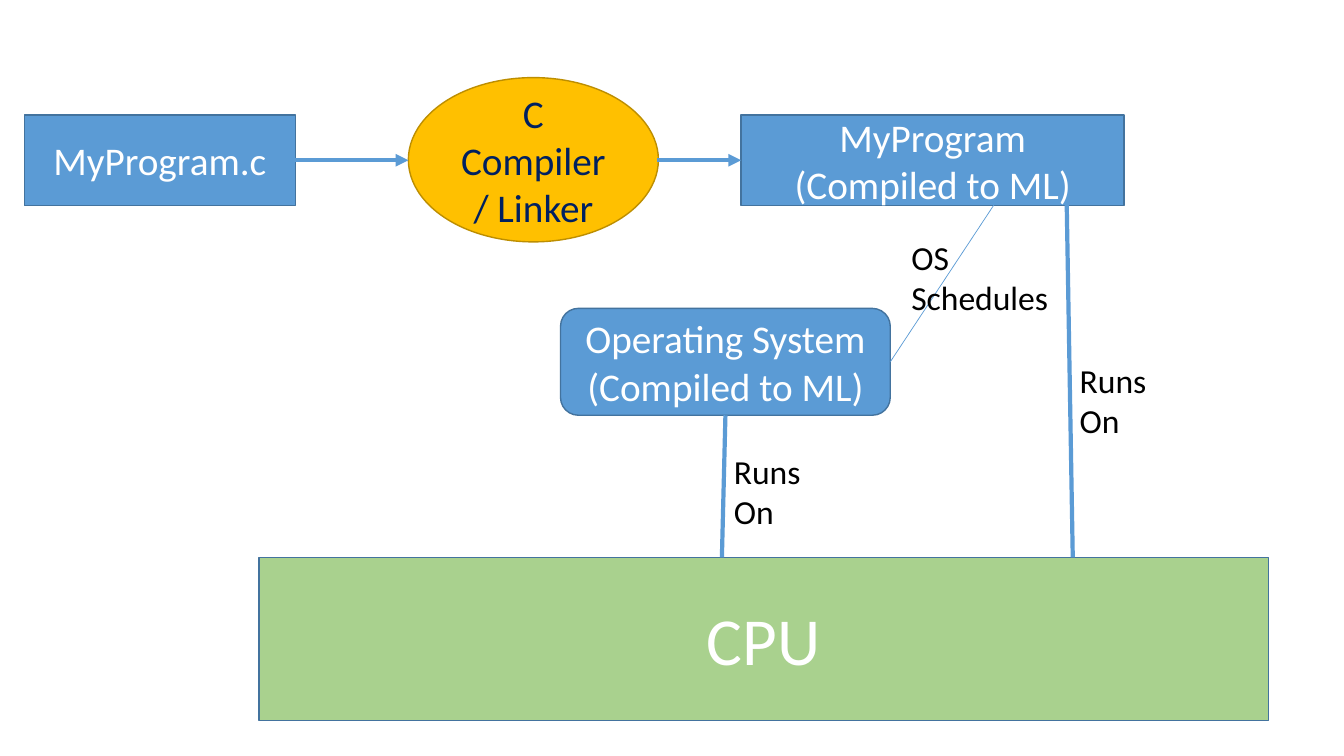
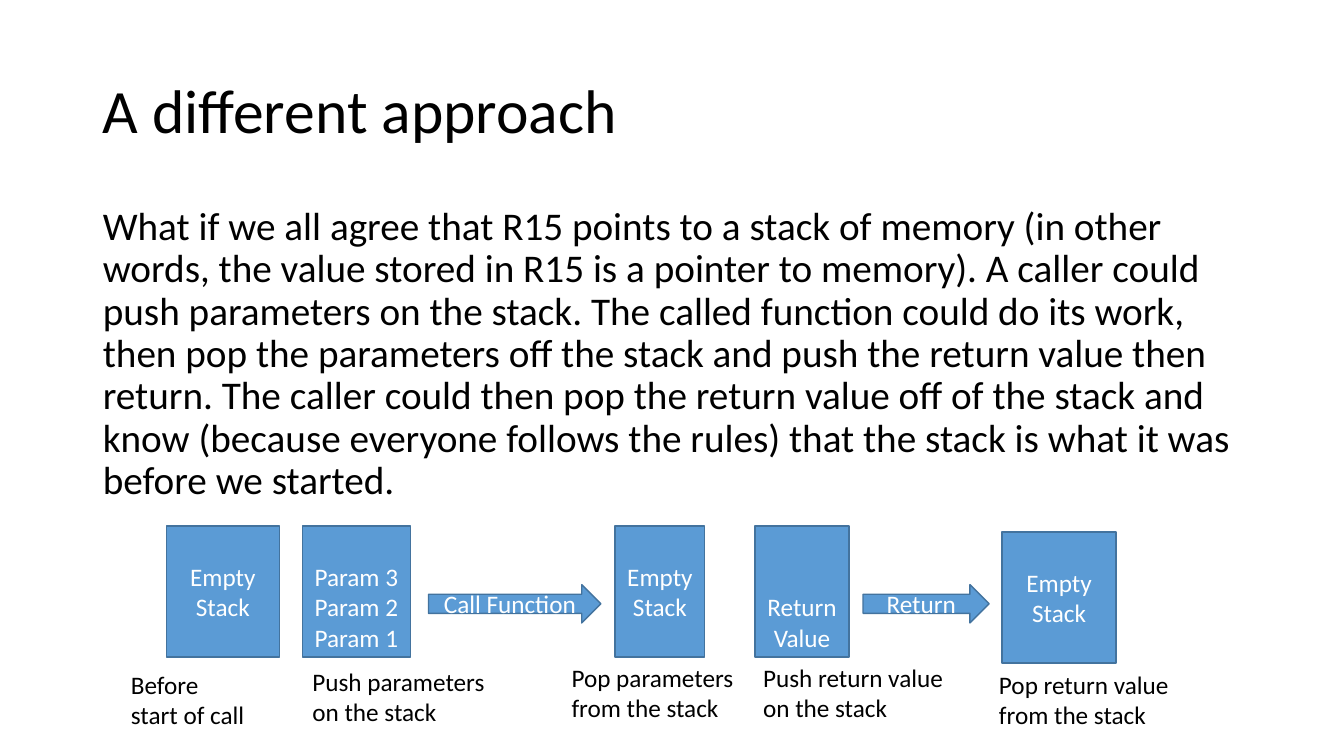
from lxml import etree
from pptx import Presentation
from pptx import util as u
from pptx.dml.color import RGBColor
from pptx.enum import shapes, text
from pptx.oxml import ns

FONT = "Calibri"
BLUE, EDGE, WHITE, BLACK = "5B9BD5", "43739E", "FFFFFF", "000000"
GREEN, GOLD, BROWN, NAVY = "A9D18E", "FFC000", "BD8E00", "002060"
KIND = shapes.MSO_SHAPE
ANCHOR = text.MSO_ANCHOR
LEFT, CENTER = text.PP_ALIGN.LEFT, text.PP_ALIGN.CENTER
color = RGBColor.from_string


def write(frame, words, size, ink=BLACK, align=LEFT, **form):
    """Fill a text frame; form holds further paragraph settings."""
    frame.text = words
    for para in frame.paragraphs:
        for key, val in {"alignment": align, **form}.items():
            setattr(para, key, val)
        for run in para.runs:
            for key, val in {"name": FONT, "size": u.Pt(size)}.items():
                setattr(run.font, key, val)
            run.font.color.rgb = color(ink)


def box(slide, kind, at, words, size, fill=BLUE, edge=EDGE, ink=WHITE,
        anchor=ANCHOR.MIDDLE):
    """Add a filled shape, or a growing label when kind is None."""
    place = [u.Inches(n) for n in at]
    if kind is None:
        label = slide.shapes.add_textbox(*place)
        write(label.text_frame, words, size)
        label.text_frame.word_wrap = False
        label.text_frame.auto_size = text.MSO_AUTO_SIZE.SHAPE_TO_FIT_TEXT
        return label
    shape = slide.shapes.add_shape(kind, *place)
    shape.shadow.inherit = False
    shape.fill.solid()
    shape.fill.fore_color.rgb = color(fill)
    shape.line.color.rgb = color(edge)
    shape.line.width = u.Pt(1)
    shape.text_frame.vertical_anchor = anchor
    write(shape.text_frame, words, size, ink, CENTER)
    return shape


deck = Presentation()
deck.slide_width, deck.slide_height = u.Inches(13.33), u.Inches(7.5)

# Slide 1: from source file to CPU
slide = deck.slides.add_slide(deck.slide_layouts[6])
source = box(slide, KIND.RECTANGLE, (0.24, 1.14, 2.69, 0.9), "MyProgram.c", 28)
program = box(slide, KIND.RECTANGLE, (7.35, 1.14, 3.8, 0.9),
              "MyProgram\n(Compiled to ML)", 28)
box(slide, KIND.OVAL, (4.05, 0.77, 2.48, 1.63), "C Compiler/ Linker", 28,
    GOLD, BROWN, NAVY)
system = box(slide, KIND.ROUNDED_RECTANGLE, (5.56, 3.06, 3.27, 1.06),
             "Operating System\n(Compiled to ML)", 28)
box(slide, KIND.RECTANGLE, (2.57, 5.53, 10.01, 1.62), "CPU", 48, GREEN)

# Ends, width, arrowhead, then (shape, side) joined at start and at end
links = [
    ((2.93, 1.59, 4.05, 1.59), 3, True, (source, 3), None),
    ((6.52, 1.59, 7.35, 1.59), 3, True, None, (program, 1)),
    ((7.19, 4.12, 7.16, 5.53), 3, False, (system, 2), None),
    ((10.58, 2.03, 10.64, 5.53), 3, False, None, None),
    ((8.83, 3.59, 9.86, 2.03), 0.5, False, (system, 3), None),
]
for ends, width, arrow, start, stop in links:
    link = slide.shapes.add_connector(
        shapes.MSO_CONNECTOR.STRAIGHT, *[u.Inches(n) for n in ends])
    if start:
        link.begin_connect(*start)
    if stop:
        link.end_connect(*stop)
    link.line.color.rgb = color(BLUE)
    link.line.width = u.Pt(width)
    if arrow:
        etree.SubElement(link.line._get_or_add_ln(), ns.qn("a:tailEnd"),
                         type="triangle")
    etree.SubElement(link._element.spPr, ns.qn("a:effectLst"))

for at, words in [
    ((8.94, 2.3, 1.57, 0.91), "OS\vSchedules"),
    ((10.61, 3.52, 0.95, 0.91), "Runs \vOn"),
    ((7.18, 4.42, 0.95, 0.91), "Runs \vOn"),
]:
    box(slide, None, at, words, 24)

# Slide 2: calling through a stack
slide = deck.slides.add_slide(deck.slide_layouts[1])
title, body = slide.placeholders
for holder, top, height, anchor in [
    (title, 0.4, 1.45, ANCHOR.MIDDLE),
    (body, 2, 3.05, ANCHOR.TOP),
]:
    holder.left, holder.width = u.Inches(0.92), u.Inches(11.5)
    holder.top, holder.height = u.Inches(top), u.Inches(height)
    holder.text_frame.vertical_anchor = anchor
    holder.text_frame.auto_size = text.MSO_AUTO_SIZE.NONE
write(title.text_frame, "A different approach", 44, line_spacing=0.9)
write(body.text_frame,
      "What if we all agree that R15 points to a stack of memory (in other "
      "words, the value stored in R15 is a pointer to memory). A caller could "
      "push parameters on the stack. The called function could do its work, "
      "then pop the parameters off the stack and push the return value then "
      "return. The caller could then pop the return value off of the stack and "
      "know (because everyone follows the rules) that the stack is what it was "
      "before we started.",
      28, line_spacing=0.9, space_before=u.Pt(10))
props = body.text_frame.paragraphs[0]._p.get_or_add_pPr()
props.set("marL", "0")
props.set("indent", "0")
etree.SubElement(props, ns.qn("a:buNone"))

# Each stack: left, top, width, content, anchor
for left, top, width, words, anchor in [
    (1.65, 5.22, 1.12, "Empty Stack", ANCHOR.MIDDLE),
    (3, 5.22, 1.07, "Param 3\nParam 2\nParam 1", ANCHOR.BOTTOM),
    (6.1, 5.22, 0.89, "Empty Stack", ANCHOR.MIDDLE),
    (7.49, 5.22, 0.93, "Return Value", ANCHOR.BOTTOM),
    (9.94, 5.28, 1.13, "Empty Stack", ANCHOR.MIDDLE),
]:
    box(slide, KIND.RECTANGLE, (left, top, width, 1.3), words, 18,
        anchor=anchor)

for left, width, words in [(4.25, 1.71, "Call Function"),
                           (8.56, 1.25, "Return")]:
    box(slide, KIND.RIGHT_ARROW, (left, 5.8, width, 0.38), words, 18)

for left, top, width, words in [
    (1.2, 6.59, 1.34, "Before\nstart of call"),
    (3, 6.56, 1.93, "Push parameters\non the stack"),
    (5.57, 6.52, 1.82, "Pop parameters\nfrom the stack"),
    (7.47, 6.52, 2.01, "Push return value\non the stack"),
    (9.81, 6.59, 1.9, "Pop return value\nfrom the stack"),
]:
    box(slide, None, (left, top, width, 0.71), words, 18)

deck.save("out.pptx")
